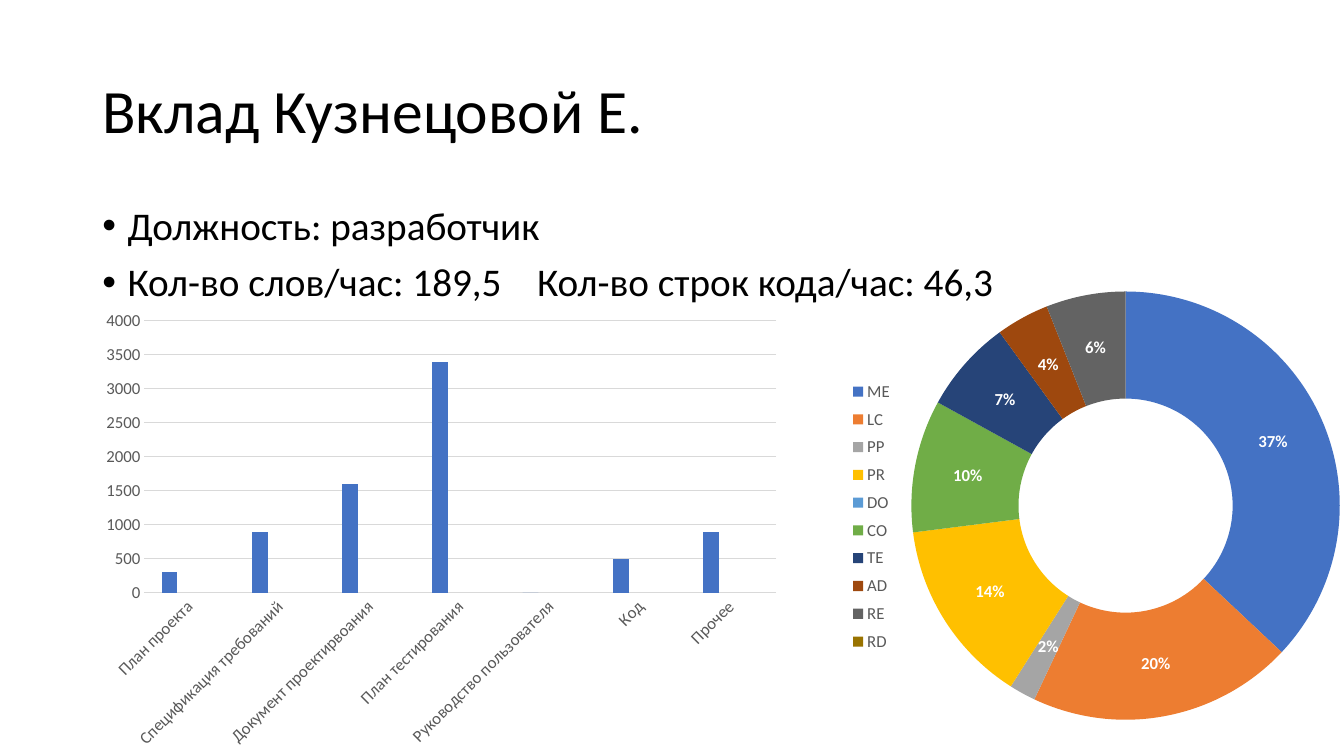
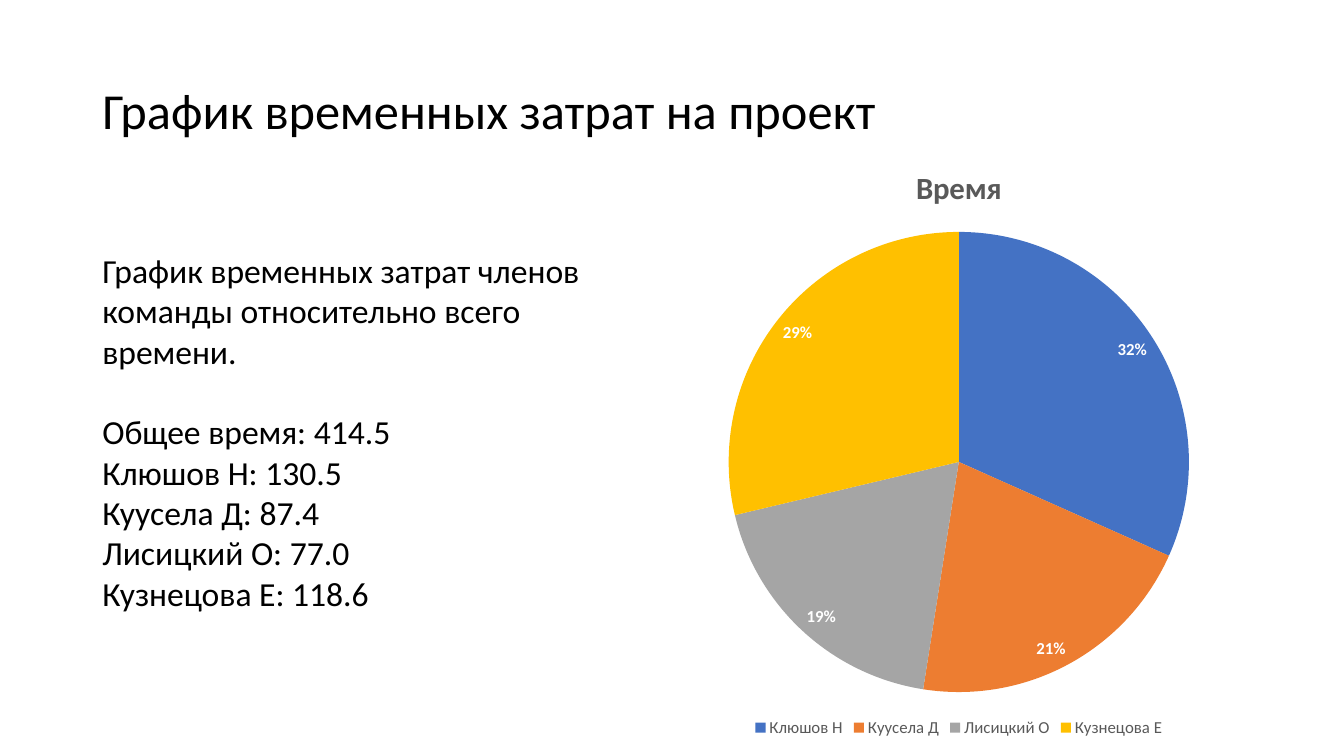
from lxml import etree
from pptx import Presentation
from pptx.chart.data import CategoryChartData
from pptx.dml.color import RGBColor
from pptx.enum.chart import (XL_CHART_TYPE, XL_LABEL_POSITION,
                             XL_LEGEND_POSITION, XL_TICK_MARK)
from pptx.enum.text import MSO_ANCHOR
from pptx.oxml.ns import qn
from pptx.util import Inches, Pt

BAR = XL_CHART_TYPE.COLUMN_CLUSTERED
RING = XL_CHART_TYPE.DOUGHNUT
PIE = XL_CHART_TYPE.PIE
LEFT, BOTTOM = XL_LEGEND_POSITION.LEFT, XL_LEGEND_POSITION.BOTTOM
INNER = XL_LABEL_POSITION.INSIDE_END
NO_TICK = XL_TICK_MARK.NONE
MIDDLE, TOP = MSO_ANCHOR.MIDDLE, MSO_ANCHOR.TOP

FONT = "Calibri"
COLORS = {"text": "000000", "back": "FFFFFF", "soft": "595959", "grid": "D9D9D9"}
SLICES = ["4472C4", "ED7D31", "A5A5A5", "FFC000", "5B9BD5",
          "70AD47", "264478", "9E480E", "636363", "997300"]
WIDE, HIGH = 13.33, 7.5
COLS, ROWS = 160, 90


def rgb(name):
    return RGBColor.from_string(COLORS.get(name, name))


class Deck:
    """Holds the style and the current slide; boxes are in grid columns and rows."""

    def __init__(self):
        self.prs = Presentation()
        self.prs.slide_width = Inches(WIDE)
        self.prs.slide_height = Inches(HIGH)
        self.slide = None

    def save(self):
        self.prs.save("out.pptx")

    def page(self, title, size):
        self.slide = self.prs.slides.add_slide(self.prs.slide_layouts[6])
        fill = self.slide.background.fill
        fill.solid()
        fill.fore_color.rgb = rgb("back")
        self.text((11, 4.8, 138, 17.4), [title], size, MIDDLE, 0.9)

    def place(self, box):
        x, y, w, h = box
        return (Inches(x * WIDE / COLS), Inches(y * HIGH / ROWS),
                Inches(w * WIDE / COLS), Inches(h * HIGH / ROWS))

    def style(self, font, size, color, bold=False):
        font.name, font.size, font.bold = FONT, Pt(size), bold
        font.color.rgb = rgb(color)

    def text(self, box, lines, size, anchor=TOP, space=1.0):
        frame = self.slide.shapes.add_textbox(*self.place(box)).text_frame
        frame.word_wrap = True
        frame.vertical_anchor = anchor
        for i, line in enumerate(lines):
            para = frame.add_paragraph() if i else frame.paragraphs[0]
            para.text = line
            para.line_spacing = space
            self.style(para.font, size, "text")
        return frame.paragraphs

    def bullets(self, box, lines, size, stop):
        """Bulleted list with one tab stop, given in columns from the text edge."""
        for para in self.text(box, lines, size, space=0.9):
            para.space_before = Pt(10)
            props = para._p.get_or_add_pPr()
            props.set("marL", str(Inches(0.25)))
            props.set("indent", str(-Inches(0.25)))
            etree.SubElement(props, qn("a:buFont"), typeface="Arial")
            etree.SubElement(props, qn("a:buChar"), char="•")
            tabs = etree.SubElement(props, qn("a:tabLst"))
            etree.SubElement(tabs, qn("a:tab"), algn="l",
                             pos=str(Inches(stop * WIDE / COLS)))

    def pin(self, part, box, area, index):
        """Fix a chart part to a box that lies inside the chart's own box."""
        for old in part.findall(qn("c:layout")):
            part.remove(old)
        layout = etree.Element(qn("c:layout"))
        part.insert(index, layout)
        manual = etree.SubElement(layout, qn("c:manualLayout"))
        if part.tag == qn("c:plotArea"):
            etree.SubElement(manual, qn("c:layoutTarget"), val="inner")
        for key in ("xMode", "yMode"):
            etree.SubElement(manual, qn("c:" + key), val="edge")
        shares = ((area[0] - box[0]) / box[2], (area[1] - box[1]) / box[3],
                  area[2] / box[2], area[3] / box[3])
        for key, share in zip("xywh", shares):
            etree.SubElement(manual, qn("c:" + key), val=f"{share:.4f}")

    def chart(self, kind, box, area, names, series):
        data = CategoryChartData()
        data.categories = names
        for name, vals in series:
            data.add_series(name, vals)
        chart = self.slide.shapes.add_chart(kind, *self.place(box), data).chart
        chart.has_title = chart.has_legend = False
        self.style(chart.font, 10, "text")
        chart.plots[0].vary_by_categories = kind != BAR
        self.pin(chart._chartSpace.chart.plotArea, box, area, 0)
        return chart

    def bars(self, box, area, names, vals, top, step):
        blank = [None] * len(names)
        chart = self.chart(BAR, box, area, names, [
            ("Series 1", vals), ("Series 2", blank), ("Series 3", blank)])
        plot = chart.plots[0]
        plot.gap_width, plot.overlap = 219, -27
        for item, color in zip(plot.series, SLICES):
            item.format.fill.solid()
            item.format.fill.fore_color.rgb = rgb(color)
        cat, val = chart.category_axis, chart.value_axis
        for axis in (cat, val):
            axis.major_tick_mark = axis.minor_tick_mark = NO_TICK
            self.style(axis.tick_labels.font, 12, "soft")
        cat._element.find(".//" + qn("a:bodyPr")).set("rot", "-2700000")
        val.minimum_scale, val.maximum_scale, val.major_unit = 0, top, step
        val.format.line.fill.background()
        for line in (cat.format.line, val.major_gridlines.format.line):
            line.color.rgb = rgb("grid")
            line.width = Pt(0.75)

    def shares(self, kind, box, area, names, vals, side, name,
               title=False, spot=None, key=None):
        """Pie or ring with percent labels; key is the legend's fixed box."""
        chart = self.chart(kind, box, area, names, [(name, vals)])
        item = chart.plots[0].series[0]
        for i, color in enumerate(SLICES[:len(names)]):
            fill = item.points[i].format.fill
            fill.solid()
            fill.fore_color.rgb = rgb(color)
        tags = item.data_labels
        tags.show_percentage, tags.show_value = True, False
        tags.number_format, tags.number_format_is_linked = "0%", False
        self.style(tags.font, 12, "back", True)
        if spot is not None:
            tags.position = spot
        chart.has_legend = True
        chart.legend.position = side
        chart.legend.include_in_layout = False
        self.style(chart.legend.font, 12, "soft")
        if key:
            self.pin(chart.legend._element, box, key, 1)
        if title:
            para = chart.chart_title.text_frame.paragraphs[0]
            para.text = name
            self.style(para.font, 22, "soft", True)


def main():
    deck = Deck()

    deck.page("Вклад Кузнецовой Е.", 44)
    deck.bullets((11, 24, 138, 57.1), [
        "Должность: разработчик",
        "Кол-во слов/час: 189,5\tКол-во строк кода/час: 46,3"], 28, 51.75)
    deck.shares(RING, (92, 33, 77.3, 54.2), (108.5, 34.7, 51, 51),
                ["ME", "LC", "PP", "PR", "DO", "CO", "TE", "AD", "RE", "RD"],
                [37, 20, 2, 14, None, 10, 7, 4, 6, 0], LEFT, "Series 1",
                key=(100, 44.5, 7.5, 34))
    deck.bars((11, 35.9, 83, 54.2), (17.2, 38.2, 75.2, 32.4),
              ["План проекта", "Спецификация требований",
               "Документ проектирвоания", "План тестирования",
               "Руководство пользователя", "Код", "Прочее"],
              [300, 900, 1600, 3400, 0, 500, 900], 4000, 500)

    deck.page("График временных затрат на проект", 36)
    people = ["Клюшов Н", "Куусела Д", "Лисицкий О", "Кузнецова Е"]
    hours = [130.5, 87.4, 77.0, 118.6]
    deck.shares(PIE, (60.8, 17.1, 106.7, 71.2), (86.75, 27.6, 54.8, 54.8),
                people, [32, 21, 19, 29], BOTTOM, "Время", True, INNER)
    lines = deck.text((11, 29.15, 61.4, 44.9), [
        "График временных затрат членов команды относительно всего времени.",
        "Общее время: 414.5",
        *(f"{who}: {time}" for who, time in zip(people, hours))], 24)
    lines[1].space_before = Pt(29)

    deck.save()


if __name__ == "__main__":
    main()
